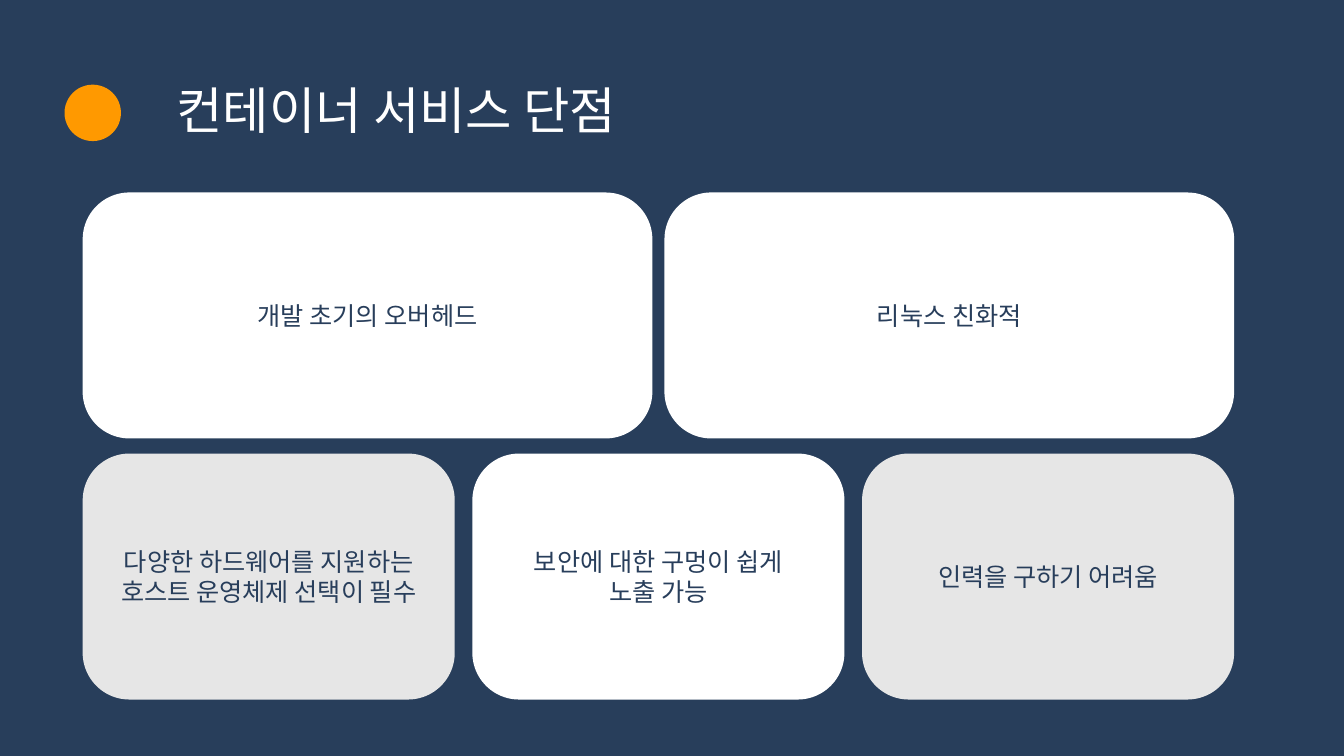
import pptx
import pptx.util
import pptx.dml.color
import pptx.enum.shapes
import pptx.enum.text
import pptx.oxml.ns
from lxml import etree
from pptx.util import Inches

COLORS = {"navy": "283E5B", "orange": "FF9900", "white": "FFFFFF", "gray": "E6E6E6"}
FONT = "Noto Sans CJK KR"
SHAPES = pptx.enum.shapes.MSO_SHAPE
ALIGN = pptx.enum.text.PP_ALIGN
LEFT, RIGHT, CARD_HEIGHT = 0.82, 12.24, 2.44
ROWS = [
    (1.91, 5.65, [("white", ["개발 초기의 오버헤드"]), ("white", ["리눅스 친화적"])]),
    (4.5, 3.69, [
        ("gray", ["다양한 하드웨어를 지원하는", "호스트 운영체제 선택이 필수"]),
        ("white", ["보안에 대한 구멍이 쉽게", "노출 가능"]),
        ("gray", ["인력을 구하기 어려움"]),
    ]),
]


def paint(fill, color):
    """Give a fill one solid colour."""
    fill.solid()
    fill.fore_color.rgb = pptx.dml.color.RGBColor.from_string(COLORS[color])


def write(frame, lines, size, color, paragraph_format):
    """Write one paragraph per line, centred vertically in the frame."""
    frame.word_wrap = True
    frame.vertical_anchor = pptx.enum.text.MSO_ANCHOR.MIDDLE
    for index, line in enumerate(lines):
        para = frame.paragraphs[0] if index == 0 else frame.add_paragraph()
        for name, value in paragraph_format.items():
            setattr(para, name, value)
        span = para.add_run()
        span.text = line
        for name, value in {"size": pptx.util.Pt(size), "name": FONT}.items():
            setattr(span.font, name, value)
        paint(span.font.fill, color)
        properties = span._r.get_or_add_rPr()
        etree.SubElement(properties, pptx.oxml.ns.qn("a:ea"), typeface=FONT)


def add_plain_shape(page, kind, place, color):
    """Add a preset shape with a solid fill and neither line nor shadow."""
    shape = page.shapes.add_shape(kind, *map(Inches, place))
    shape.shadow.inherit = False
    shape.line.fill.background()
    paint(shape.fill, color)
    return shape


def add_title(page, text):
    """Add the round marker and the heading beside it."""
    add_plain_shape(page, SHAPES.OVAL, (0.64, 0.84, 0.56, 0.56), "orange")
    box = page.shapes.add_textbox(*map(Inches, (1.65, 0.84, 5.25, 0.56)))
    write(box.text_frame, [text], 36, "white", {"line_spacing": 0.9, "alignment": ALIGN.LEFT})


def add_card_row(page, top, width, cards):
    """Spread rounded cards evenly between the left and right edges."""
    step = (RIGHT - LEFT - width) / (len(cards) - 1)
    for index, (color, lines) in enumerate(cards):
        place = (LEFT + index * step, top, width, CARD_HEIGHT)
        card = add_plain_shape(page, SHAPES.ROUNDED_RECTANGLE, place, color)
        card.adjustments[0] = 0.19
        write(card.text_frame, lines, 18, "navy", {"alignment": ALIGN.CENTER})


def main():
    """Build and save the slide."""
    deck = pptx.Presentation()
    deck.slide_width, deck.slide_height = Inches(13.33), Inches(7.5)
    page = deck.slides.add_slide(deck.slide_layouts[6])
    paint(page.background.fill, "navy")
    add_title(page, "컨테이너 서비스 단점")
    for top, width, cards in ROWS:
        add_card_row(page, top, width, cards)
    deck.save("out.pptx")


if __name__ == "__main__":
    main()
